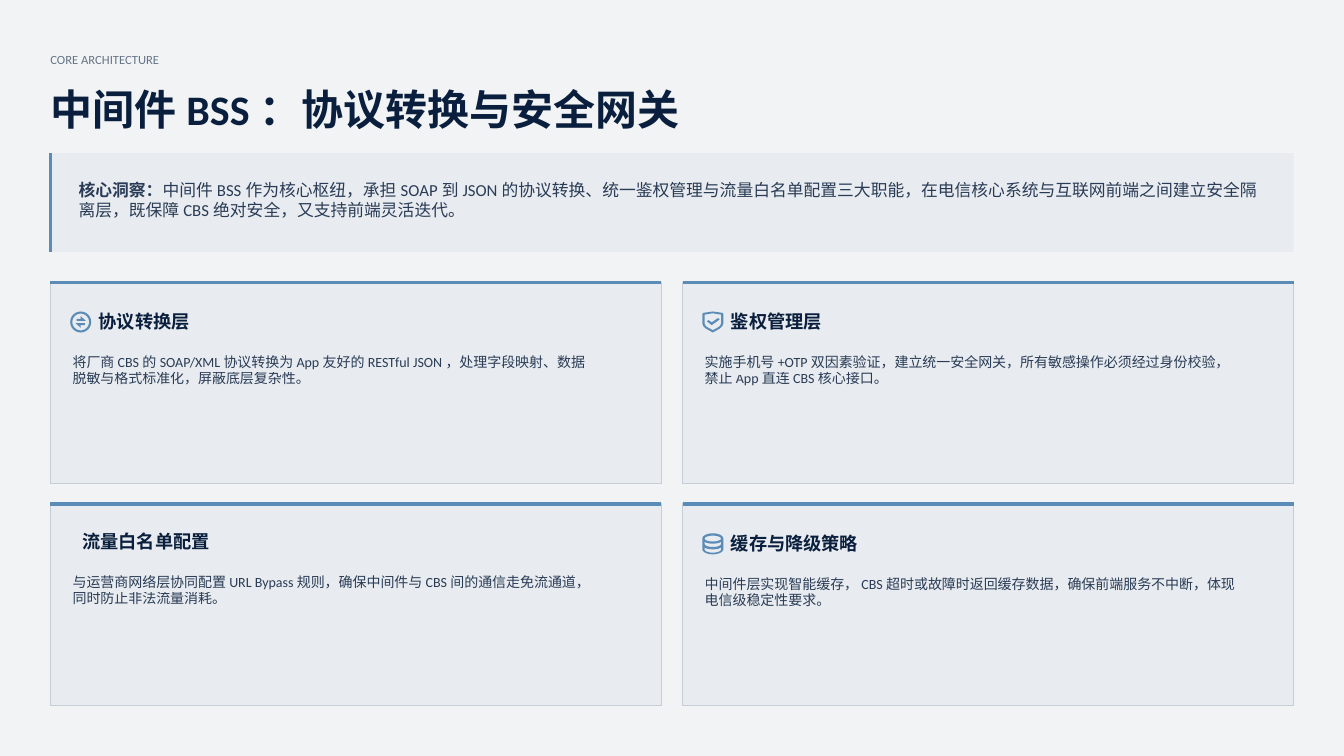
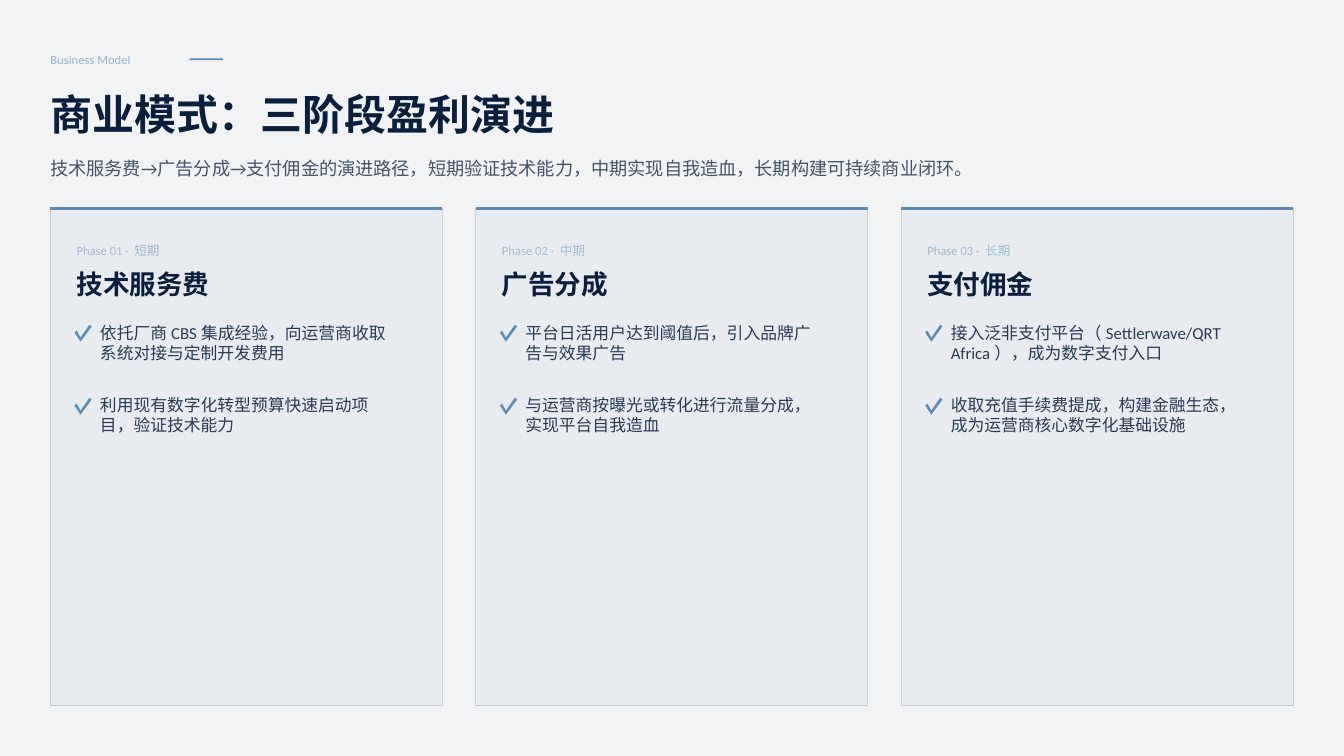
import copy
import math
from dataclasses import dataclass

import lxml.etree
import pptx
import pptx.dml.color
import pptx.enum.shapes
import pptx.enum.text
import pptx.oxml.ns
import pptx.util

Cm = pptx.util.Cm
qn = pptx.oxml.ns.qn


@dataclass(frozen=True)
class TextStyle:
    size: int
    color: str
    opacity: int = 100
    bold: bool = False


@dataclass(frozen=True)
class Theme:
    font: str = "Calibri"
    background: str = "F1F3F5"
    panel: str = "E8EBEF"
    border: str = "C5CDD6"
    accent: str = "5B8CB8"
    title: TextStyle = TextStyle(30, "0A1F3D", bold=True)
    kicker: TextStyle = TextStyle(9, "0A1F3D", 60)
    accent_kicker: TextStyle = TextStyle(9, "5B8CB8", 60)
    phase: TextStyle = TextStyle(9, "5B8CB8", 50)
    subtitle: TextStyle = TextStyle(13, "0A1F3D", 75)
    heading: TextStyle = TextStyle(13, "0A1F3D", bold=True)
    large_heading: TextStyle = TextStyle(19, "0A1F3D", bold=True)
    body: TextStyle = TextStyle(12, "0A1F3D", 85)
    small_body: TextStyle = TextStyle(10, "0A1F3D", 85)


MARGIN = 1.27
CONTENT_WIDTH = 31.33
ICON_GRID = 20


def arc(center_y, radius_x, radius_y, start, stop):
    angles = [math.radians(start + (stop - start) * step / 24) for step in range(25)]
    return [(10 + radius_x * math.cos(angle), center_y + radius_y * math.sin(angle))
            for angle in angles]


def database_band(top):
    return arc(top, 7.8, 2.2, 180, 0) + arc(top + 2.4, 7.8, 3, 0, 180)


CHECK = [[(2.4, 7), (7, 15.3), (17.6, 0), (20, 2.4), (7, 20), (0, 9.4)]]
EXCHANGE = [
    arc(10, 10, 10, 0, 360),
    arc(10, 8, 8, 0, 360),
    [(10, 15.5), (5, 11), (14, 11), (14, 13), (10, 13)],
    [(6, 7), (10, 7), (10, 4.5), (15, 9), (6, 9)],
]
SHIELD = [
    [(0.8, 1.3), (10, 0), (19.2, 1.3), (20, 2.2), (20, 11.5), (19, 14),
     (17, 16), (10, 20), (3, 16), (1, 14), (0, 11.5), (0, 2.2)],
    [(2.2, 3), (10, 1.7), (17.8, 3), (17.8, 11.5), (17, 13.3),
     (15.8, 14.6), (10, 17.8), (4.2, 14.6), (3, 13.3), (2.2, 11.5)],
    [(9, 10.3), (15, 6.2), (16.5, 7.6), (9, 13), (4.3, 9.4), (5.8, 8.2)],
]
DATABASE = [
    arc(5, 10, 5, 180, 360) + arc(15, 10, 5, 0, 180),
    arc(5, 7.8, 2.8, 0, 360),
    database_band(7.6),
    database_band(13),
]


class Deck:
    def __init__(self, theme):
        self.theme = theme
        self.presentation = pptx.Presentation()
        self.presentation.slide_width = Cm(33.87)
        self.presentation.slide_height = Cm(19.05)
        self.fill(self.presentation.slide_master.background, theme.background)
        self.slide = None

    def add_slide(self, layout_name):
        layout = self.presentation.slide_layouts.get_by_name(layout_name)
        self.slide = self.presentation.slides.add_slide(layout)

    def fill(self, target, color):
        target.fill.solid()
        target.fill.fore_color.rgb = pptx.dml.color.RGBColor.from_string(color)

    def format_run(self, run, style, bold):
        run.font.name = self.theme.font
        run.font.size = pptx.util.Pt(style.size)
        run.font.bold = bold
        run.font.color.rgb = pptx.dml.color.RGBColor.from_string(style.color)
        properties = run._r.get_or_add_rPr()
        if style.opacity < 100:
            color = properties.find(".//" + qn("a:srgbClr"))
            lxml.etree.SubElement(color, qn("a:alpha"), val=str(style.opacity * 1000))
        east_asian = copy.deepcopy(properties.find(qn("a:latin")))
        east_asian.tag = qn("a:ea")
        properties.find(qn("a:latin")).addnext(east_asian)
        return properties

    def set_text(self, shape, text, style, lead="", gap=0):
        frame = shape.text_frame
        frame.margin_left = frame.margin_right = 0
        frame.margin_top = frame.margin_bottom = 0
        frame.word_wrap = True
        frame.auto_size = pptx.enum.text.MSO_AUTO_SIZE.NONE
        frame.vertical_anchor = pptx.enum.text.MSO_ANCHOR.TOP
        frame.text = lead or text
        if lead:
            frame.paragraphs[0].add_run().text = text
        for index, paragraph in enumerate(frame.paragraphs):
            paragraph.alignment = pptx.enum.text.PP_ALIGN.LEFT
            paragraph.space_before = pptx.util.Pt(gap if index else 0)
            for run in paragraph.runs:
                properties = self.format_run(run, style, style.bold or run.text == lead)
            for line_break in paragraph._p.findall(qn("a:br")):
                line_break.insert(0, copy.deepcopy(properties))

    def text(self, left, top, width, height, text, style, lead=""):
        box = self.slide.shapes.add_textbox(Cm(left), Cm(top), Cm(width), Cm(height))
        self.set_text(box, text, style, lead)

    def placeholder(self, index, left, top, width, height, text, style, gap=0):
        shape = next(item for item in self.slide.placeholders
                     if item.placeholder_format.idx == index)
        shape.left, shape.top = Cm(left), Cm(top)
        shape.width, shape.height = Cm(width), Cm(height)
        shape.element.getparent().append(shape.element)
        self.set_text(shape, text, style, gap=gap)
        if index:
            for paragraph in shape.text_frame.paragraphs:
                properties = paragraph._p.get_or_add_pPr()
                properties.set("marL", "0")
                properties.set("indent", "0")
                lxml.etree.SubElement(properties, qn("a:buNone"))

    def title(self, top, text):
        self.placeholder(0, MARGIN, top, CONTENT_WIDTH, 1.17, text, self.theme.title)

    def kicker(self, text, style):
        self.text(MARGIN, 1.32, 3.25, 0.38, text, style)

    def rectangle(self, left, top, width, height, color, border=None):
        shape = self.slide.shapes.add_shape(
            pptx.enum.shapes.MSO_SHAPE.RECTANGLE, Cm(left), Cm(top), Cm(width), Cm(height))
        shape.shadow.inherit = False
        self.fill(shape, color)
        if border:
            shape.line.color.rgb = pptx.dml.color.RGBColor.from_string(border)
            shape.line.width = pptx.util.Pt(0.75)
        else:
            shape.line.fill.background()

    def accent_line(self, left, top, right, bottom):
        line = self.slide.shapes.add_connector(
            pptx.enum.shapes.MSO_CONNECTOR.STRAIGHT, Cm(left), Cm(top), Cm(right), Cm(bottom))
        line.line.color.rgb = pptx.dml.color.RGBColor.from_string(self.theme.accent)
        line.line.width = pptx.util.Pt(2.25)
        lxml.etree.SubElement(line.element.spPr, qn("a:effectLst"))

    def card(self, left, top, width, height):
        self.rectangle(left, top, width, height, self.theme.panel, self.theme.border)
        self.accent_line(left, top, left + width, top)

    def callout(self, top, height, lead, text):
        self.rectangle(MARGIN, top, CONTENT_WIDTH, height, self.theme.panel)
        self.accent_line(MARGIN, top, MARGIN, top + height)
        self.text(MARGIN + 0.71, top + 0.66, 29.77, 1.17, text, self.theme.body, lead)

    def icon(self, left, top, size, outlines):
        unit = Cm(size) / ICON_GRID
        contours = [[(Cm(left) + x * unit, Cm(top) + y * unit) for x, y in outline]
                    for outline in outlines]
        builder = self.slide.shapes.build_freeform(*contours[0][0])
        builder.add_line_segments(contours[0][1:], close=True)
        for contour in contours[1:]:
            builder.move_to(*contour[0])
            builder.add_line_segments(contour[1:], close=True)
        shape = builder.convert_to_shape()
        shape.shadow.inherit = False
        self.fill(shape, self.theme.accent)
        shape.line.fill.background()


def build_architecture(deck):
    theme = deck.theme
    deck.add_slide("Title Only")
    deck.kicker("CORE ARCHITECTURE", theme.kicker)
    deck.title(2.11, "中间件BSS：协议转换与安全网关")
    deck.callout(3.86, 2.49, "核心洞察：",
                 "中间件BSS作为核心枢纽，承担SOAP到JSON的协议转换、统一鉴权管理与流量白名单配置三大职能，"
                 "在电信核心系统与互联网前端之间建立安全隔离层，既保障CBS绝对安全，又支持前端灵活迭代。")
    cards = [
        ("协议转换层", EXCHANGE,
         "将厂商CBS的SOAP/XML协议转换为App友好的RESTful JSON，处理字段映射、数据\v"
         "脱敏与格式标准化，屏蔽底层复杂性。"),
        ("鉴权管理层", SHIELD,
         "实施手机号+OTP双因素验证，建立统一安全网关，所有敏感操作必须经过身份校验，\v"
         "禁止App直连CBS核心接口。"),
        ("流量白名单配置", None,
         "与运营商网络层协同配置URL Bypass规则，确保中间件与CBS间的通信走免流通道，\v"
         "同时防止非法流量消耗。"),
        ("缓存与降级策略", DATABASE,
         "中间件层实现智能缓存，CBS超时或故障时返回缓存数据，确保前端服务不中断，体现\v"
         "电信级稳定性要求。"),
    ]
    width, height = 15.4, 5.08
    for index, (heading, icon, body) in enumerate(cards):
        row, column = divmod(index, 2)
        left = MARGIN + column * (width + 0.53)
        top = 7.11 + row * (height + 0.51)
        deck.card(left, top, width, height)
        heading_left, lift = (1.22, 0) if icon else (0.81, 0.05)
        if icon:
            deck.icon(left + 0.5, top + 0.74, 0.53, icon)
        deck.text(left + heading_left, top + 0.72 - lift, 8, 0.53, heading, theme.heading)
        deck.text(left + 0.56, top + 1.79 - lift, 14.5, 1.04, body, theme.small_body)


def build_business_model(deck):
    theme = deck.theme
    deck.add_slide("Comparison")
    deck.kicker("Business Model", theme.accent_kicker)
    deck.rectangle(4.78, 1.47, 0.84, 0.05, theme.accent)
    deck.title(2.24, "商业模式：三阶段盈利演进")
    deck.placeholder(1, MARGIN, 3.96, CONTENT_WIDTH, 0.53,
                     "技术服务费→广告分成→支付佣金的演进路径，短期验证技术能力，"
                     "中期实现自我造血，长期构建可持续商业闭环。", theme.subtitle)
    phases = [
        ("Phase 01 · 短期", "技术服务费",
         ["依托厂商CBS集成经验，向运营商收取\v系统对接与定制开发费用",
          "利用现有数字化转型预算快速启动项\v目，验证技术能力"]),
        ("Phase 02 · 中期", "广告分成",
         ["平台日活用户达到阈值后，引入品牌广\v告与效果广告",
          "与运营商按曝光或转化进行流量分成，\v实现平台自我造血"]),
        ("Phase 03 · 长期", "支付佣金",
         ["接入泛非支付平台（Settlerwave/QRT\vAfrica），成为数字支付入口",
          "收取充值手续费提成，构建金融生态，\v成为运营商核心数字化基础设施"]),
    ]
    width, gap, top = 9.88, 0.84, 5.26
    for index, (phase, heading, points) in enumerate(phases):
        left = MARGIN + index * (width + gap)
        deck.card(left, top, width, 12.52)
        deck.text(left + 0.66, top + 0.86, 8.56, 0.38, phase, theme.phase)
        deck.text(left + 0.66, top + 1.5, 8.56, 0.79, heading, theme.large_heading)
        for row in range(len(points)):
            deck.icon(left + 0.61, top + 2.92 + row * 1.84, 0.43, CHECK)
        deck.placeholder(index + 2, left + 1.25, top + 2.86, 8.3, 3.11,
                         "\n".join(points), theme.body, gap=23)


def main():
    deck = Deck(Theme())
    build_architecture(deck)
    build_business_model(deck)
    deck.presentation.save("out.pptx")


if __name__ == "__main__":
    main()
